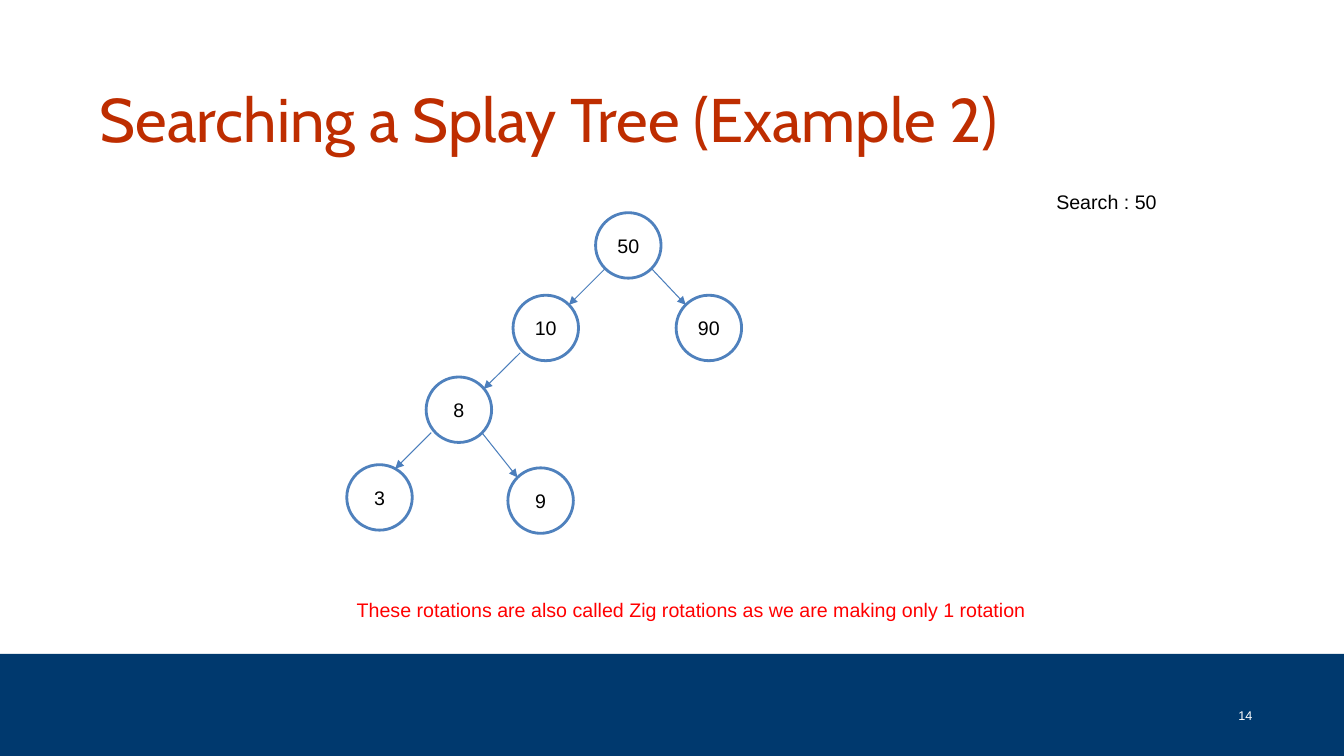
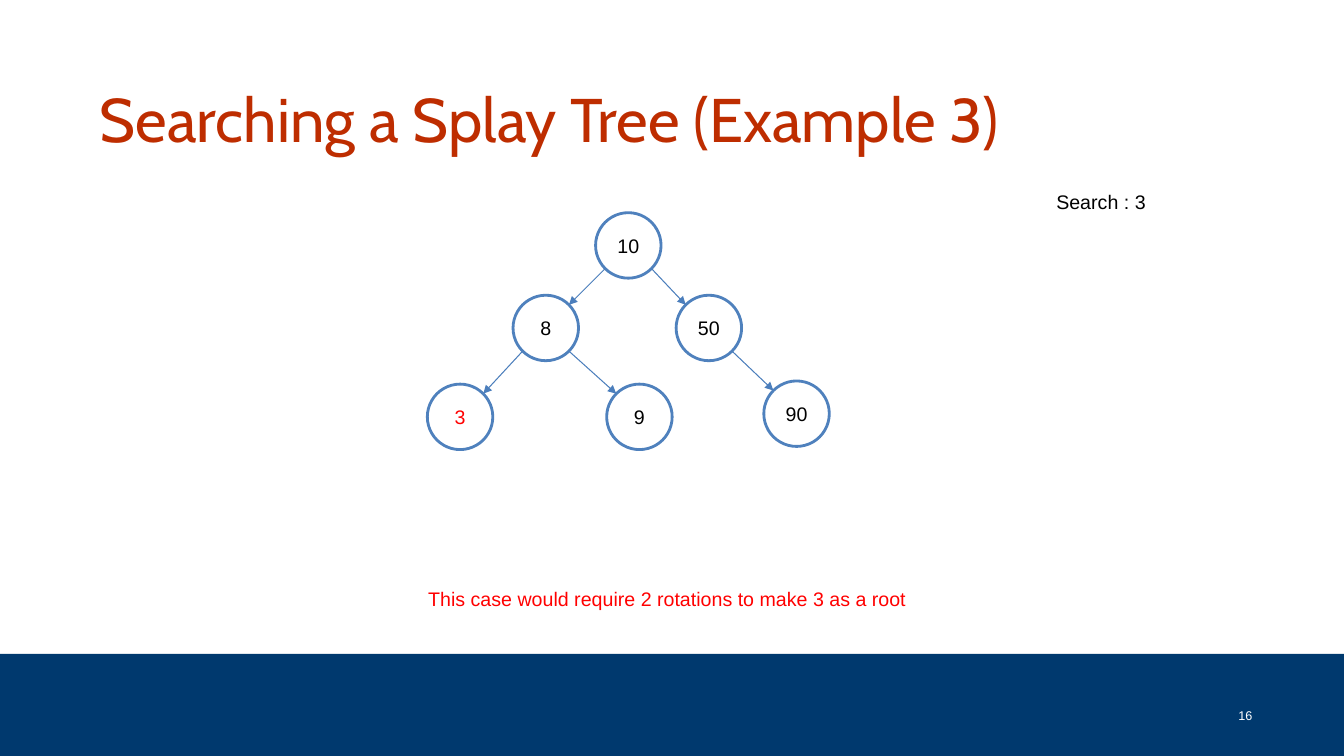
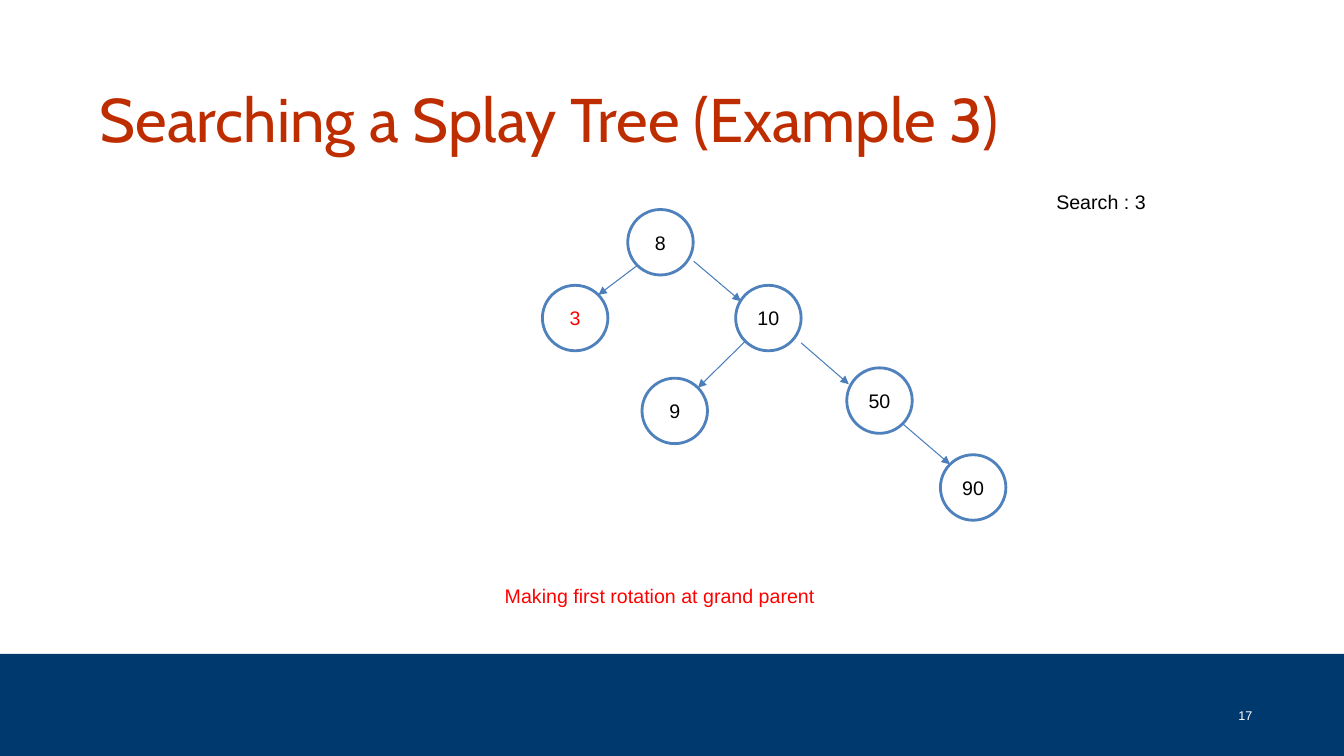
from lxml import etree
from pptx import Presentation
from pptx.dml.color import RGBColor
from pptx.enum import shapes, text
from pptx.oxml.ns import qn
from pptx.util import Cm, Pt

# Shared look
WIDTH, HEIGHT = 33.87, 19.05
BAND_TOP = 16.48
NAVY, WHITE, BLACK, RED = "00396E", "FFFFFF", "000000", "FF0000"
TITLE_COLOUR, NODE_LINE, EDGE_LINE = "BE2D00", "4F81BD", "4B7EBC"
NODE = 1.65                  # node diameter
INSET = NODE * 0.146         # from the node's box to its rim at 45 degrees

# Each tree: nodes as {value: (left, top)}, edges as (parent, child),
# with explicit end points where an arrow leaves the rim
SLIDES = [
    dict(number=14, title="Searching a Splay Tree (Example 2)", search="Search : 50",
         caption="These rotations are also called Zig rotations as we are making only 1 rotation",
         caption_at=(8.74, 14.94, 17.45), target=None,
         nodes={50: (15.01, 5.36), 10: (12.93, 7.44), 90: (17.04, 7.44),
                8: (10.74, 9.5), 3: (8.74, 11.71), 9: (12.8, 11.79)},
         edges=[(50, 10), (50, 90), (10, 8, (13.11, 8.89), (12.19, 9.8)),
                (8, 3, (10.87, 10.9), (9.96, 11.81)), (8, 9)]),
    dict(number=16, title="Searching a Splay Tree (Example 3)", search="Search : 3",
         caption="This case would require 2 rotations to make 3 as a root",
         caption_at=(10.54, 14.66, 12.62), target=3,
         nodes={10: (15.01, 5.36), 8: (12.93, 7.44), 50: (17.04, 7.44),
                3: (10.77, 9.68), 9: (15.29, 9.68), 90: (19.25, 9.6)},
         edges=[(10, 8), (10, 50), (8, 3), (8, 9), (50, 90)]),
    dict(number=17, title="Searching a Splay Tree (Example 3)", search="Search : 3",
         caption="Making first rotation at grand parent",
         caption_at=(12.47, 14.58, 8.36), target=3,
         nodes={8: (15.82, 5.28), 3: (13.67, 7.19), 10: (18.54, 7.19),
                9: (16.18, 9.53), 50: (21.34, 9.27), 90: (23.7, 11.46)},
         edges=[(8, 3), (8, 10, (17.48, 6.58), (18.67, 7.59)), (10, 9),
                (10, 50, (20.19, 8.64), (21.39, 9.68)), (50, 90)]),
]


def rgb(value):
    return RGBColor.from_string(value)


def write(shape, words, size, colour, align=text.PP_ALIGN.LEFT,
          anchor=text.MSO_ANCHOR.TOP, font="Arial"):
    tf = shape.text_frame
    tf.text = words
    tf.vertical_anchor = anchor
    p = tf.paragraphs[0]
    p.alignment = align
    p.font.name, p.font.size = font, Pt(size)
    p.font.color.rgb = rgb(colour)


def add_filled(s, kind, left, top, width, height, fill, line=None):
    sp = s.shapes.add_shape(kind, Cm(left), Cm(top), Cm(width), Cm(height))
    sp.shadow.inherit = False
    sp.fill.solid()
    sp.fill.fore_color.rgb = rgb(fill)
    if line:
        sp.line.color.rgb = rgb(line)
        sp.line.width = Pt(2)
    else:
        sp.line.fill.background()
    return sp


def add_label(s, words, left, top, width, colour):
    box = s.shapes.add_textbox(Cm(left), Cm(top), Cm(width), Cm(0.86))
    write(box, words, 14, colour)
    box.text_frame.word_wrap = False
    box.text_frame.auto_size = text.MSO_AUTO_SIZE.SHAPE_TO_FIT_TEXT


def add_frame(s, title, number):
    """Bottom band, slide number and title."""
    add_filled(s, shapes.MSO_SHAPE.RECTANGLE, 0, BAND_TOP, WIDTH, HEIGHT - BAND_TOP, NAVY)
    box = s.shapes.add_textbox(Cm(30.84), Cm(17.83), Cm(0.97), Cm(0.51))
    write(box, str(number), 9, WHITE, text.PP_ALIGN.RIGHT, text.MSO_ANCHOR.BOTTOM)
    box.text_frame.word_wrap = True
    sp = s.shapes.title
    sp.left, sp.top, sp.width, sp.height = Cm(2.26), Cm(0.84), Cm(28.78), Cm(3.18)
    write(sp, title, 44, TITLE_COLOUR, anchor=text.MSO_ANCHOR.BOTTOM, font="Cabin")


def add_node(s, value, left, top, colour):
    sp = add_filled(s, shapes.MSO_SHAPE.OVAL, left, top, NODE, NODE, WHITE, NODE_LINE)
    write(sp, str(value), 14, colour, text.PP_ALIGN.CENTER, text.MSO_ANCHOR.MIDDLE)


def rim_points(parent, child):
    """Lower rim of the parent and upper rim of the child, on the facing sides."""
    near, far = INSET, NODE - INSET
    out, into = (near, far) if child[0] < parent[0] else (far, near)
    return (parent[0] + out, parent[1] + far), (child[0] + into, child[1] + near)


def add_arrow(s, start, end):
    line = s.shapes.add_connector(shapes.MSO_CONNECTOR.STRAIGHT,
                                  *(Cm(v) for v in (*start, *end)))
    line.line.color.rgb = rgb(EDGE_LINE)
    line.line.width = Pt(0.75)
    etree.SubElement(line.line._get_or_add_ln(), qn("a:tailEnd"), type="triangle")
    etree.SubElement(line._element.spPr, qn("a:effectLst"))


def add_tree(s, nodes, edges, target):
    for value, (left, top) in nodes.items():
        add_node(s, value, left, top, RED if value == target else BLACK)
    for parent, child, *ends in edges:
        add_arrow(s, *(ends or rim_points(nodes[parent], nodes[child])))


def main():
    prs = Presentation()
    prs.slide_width, prs.slide_height = Cm(WIDTH), Cm(HEIGHT)
    title_only = prs.slide_layouts[5]
    for data in SLIDES:
        s = prs.slides.add_slide(title_only)
        add_frame(s, data["title"], data["number"])
        add_tree(s, data["nodes"], data["edges"], data["target"])
        add_label(s, data["search"], 26.37, 4.65, 3.05, BLACK)
        add_label(s, data["caption"], *data["caption_at"], RED)
    prs.save("out.pptx")


if __name__ == "__main__":
    main()
